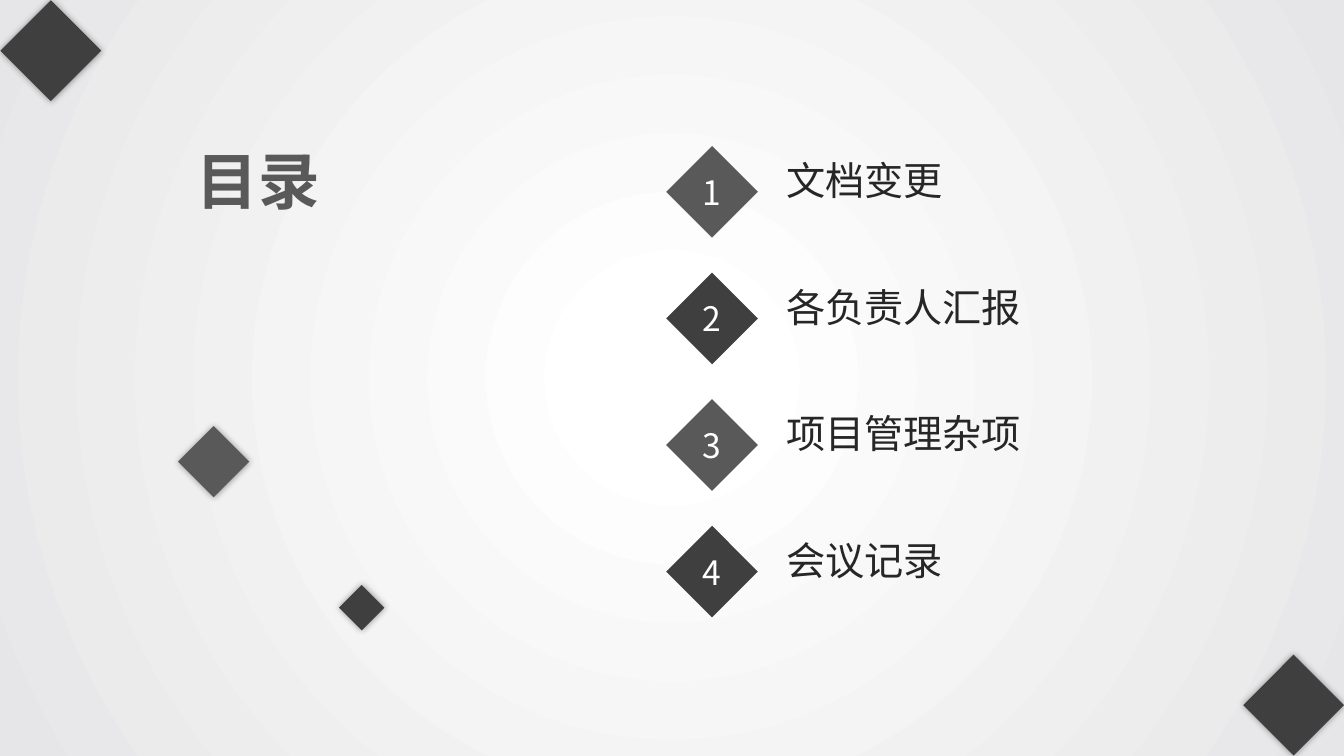
from dataclasses import dataclass

from lxml import etree
from pptx import Presentation
from pptx.dml.color import RGBColor
from pptx.enum.shapes import MSO_SHAPE as Preset
from pptx.enum.text import MSO_ANCHOR as Anchor, MSO_AUTO_SIZE as AutoSize, PP_ALIGN as Align
from pptx.oxml import parse_xml
from pptx.oxml.ns import nsdecls, qn
from pptx.util import Cm, Pt

TITLE = "目录"
AGENDA = ["文档变更", "各负责人汇报", "项目管理杂项", "会议记录"]


@dataclass(frozen=True)
class Theme:
    font: str = "Noto Sans CJK SC"
    dark: str = "3F3F3F"
    grey: str = "595959"
    ink: str = "262626"
    white: str = "FFFFFF"
    edge: str = "E6E6E8"
    shadow: str = "000000"
    title_size: int = 44
    label_size: int = 28
    number_size: int = 24


theme = Theme()

# Left, top and side in cm before the 45° turn, then colour
DECORATIONS = [
    (31.7, 16.87, 1.8, theme.dark),
    (0.38, 0.38, 1.8, theme.dark),
    (4.75, 11, 1.27, theme.grey),
    (8.71, 14.91, 0.81, theme.dark),
]

# Agenda grid in cm
DIAMOND_LEFT, FIRST_TOP, DIAMOND_SIDE, ROW_PITCH = 16.79, 3.68, 2.31, 3.19
LABEL_LEFT, LABEL_DROP, LABEL_WIDTH, LABEL_HEIGHT = 19.56, 0.14, 6.65, 1.45


def set_background(slide):
    """Fill the slide with a gradient that spreads in circles from the centre."""
    slide.background.fill.solid()
    solid = slide.element.find(".//" + qn("p:bgPr")).find(qn("a:solidFill"))
    gradient = parse_xml(
        f'<a:gradFill {nsdecls("a")} rotWithShape="1"><a:gsLst>'
        f'<a:gs pos="9000"><a:srgbClr val="{theme.white}"/></a:gs>'
        f'<a:gs pos="100000"><a:srgbClr val="{theme.edge}"/></a:gs></a:gsLst>'
        '<a:path path="circle"><a:fillToRect l="50000" t="50000" r="50000" b="50000"/></a:path>'
        "</a:gradFill>"
    )
    solid.getparent().replace(solid, gradient)


def write(shape, text, size, colour, bold=False, align=Align.LEFT, anchor=Anchor.TOP):
    frame = shape.text_frame
    frame.word_wrap = True
    frame.vertical_anchor = anchor
    paragraph = frame.paragraphs[0]
    paragraph.alignment = align
    run = paragraph.add_run()
    run.text = text
    run.font.size = Pt(size)
    run.font.bold = bold
    run.font.name = theme.font
    run.font.color.rgb = RGBColor.from_string(colour)
    east_asian = etree.SubElement(run.font._element, qn("a:ea"))
    east_asian.set("typeface", theme.font)


def add_solid(shapes, preset, left, top, side, colour):
    shape = shapes.add_shape(preset, Cm(left), Cm(top), Cm(side), Cm(side))
    shape.shadow.inherit = False
    shape.fill.solid()
    shape.fill.fore_color.rgb = RGBColor.from_string(colour)
    shape.line.fill.background()
    return shape


def add_glow_shadow(shape):
    """Give the shape a soft shadow with no offset."""
    effects = shape._element.spPr.find(qn("a:effectLst"))
    effects.append(parse_xml(
        f'<a:outerShdw {nsdecls("a")} blurRad="{Pt(5)}" dist="0" algn="ctr" rotWithShape="0">'
        f'<a:srgbClr val="{theme.shadow}"><a:alpha val="40000"/></a:srgbClr></a:outerShdw>'
    ))


def add_title(slide):
    title = slide.shapes.title
    title.left, title.top, title.width, title.height = Cm(4.7), Cm(3.48), Cm(9.32), Cm(2.13)
    write(title, TITLE, theme.title_size, theme.grey, bold=True)
    title.text_frame.auto_size = AutoSize.SHAPE_TO_FIT_TEXT


def add_agenda_row(slide, index, text):
    group = slide.shapes.add_group_shape()
    top = FIRST_TOP + index * ROW_PITCH
    colour = (theme.grey, theme.dark)[index % 2]
    diamond = add_solid(group.shapes, Preset.DIAMOND, DIAMOND_LEFT, top, DIAMOND_SIDE, colour)
    write(diamond, str(index + 1), theme.number_size, theme.white,
          align=Align.CENTER, anchor=Anchor.MIDDLE)
    label = group.shapes.add_textbox(
        Cm(LABEL_LEFT), Cm(top + LABEL_DROP), Cm(LABEL_WIDTH), Cm(LABEL_HEIGHT))
    write(label, text, theme.label_size, theme.ink)
    label.text_frame.auto_size = AutoSize.SHAPE_TO_FIT_TEXT


def main():
    presentation = Presentation()
    presentation.slide_width, presentation.slide_height = Cm(33.87), Cm(19.05)
    slide = presentation.slides.add_slide(presentation.slide_layouts[5])
    set_background(slide)
    add_title(slide)
    for index, text in enumerate(AGENDA):
        add_agenda_row(slide, index, text)
    for left, top, side, colour in DECORATIONS:
        square = add_solid(slide.shapes, Preset.RECTANGLE, left, top, side, colour)
        square.rotation = 45
        add_glow_shadow(square)
    presentation.save("out.pptx")


if __name__ == "__main__":
    main()
